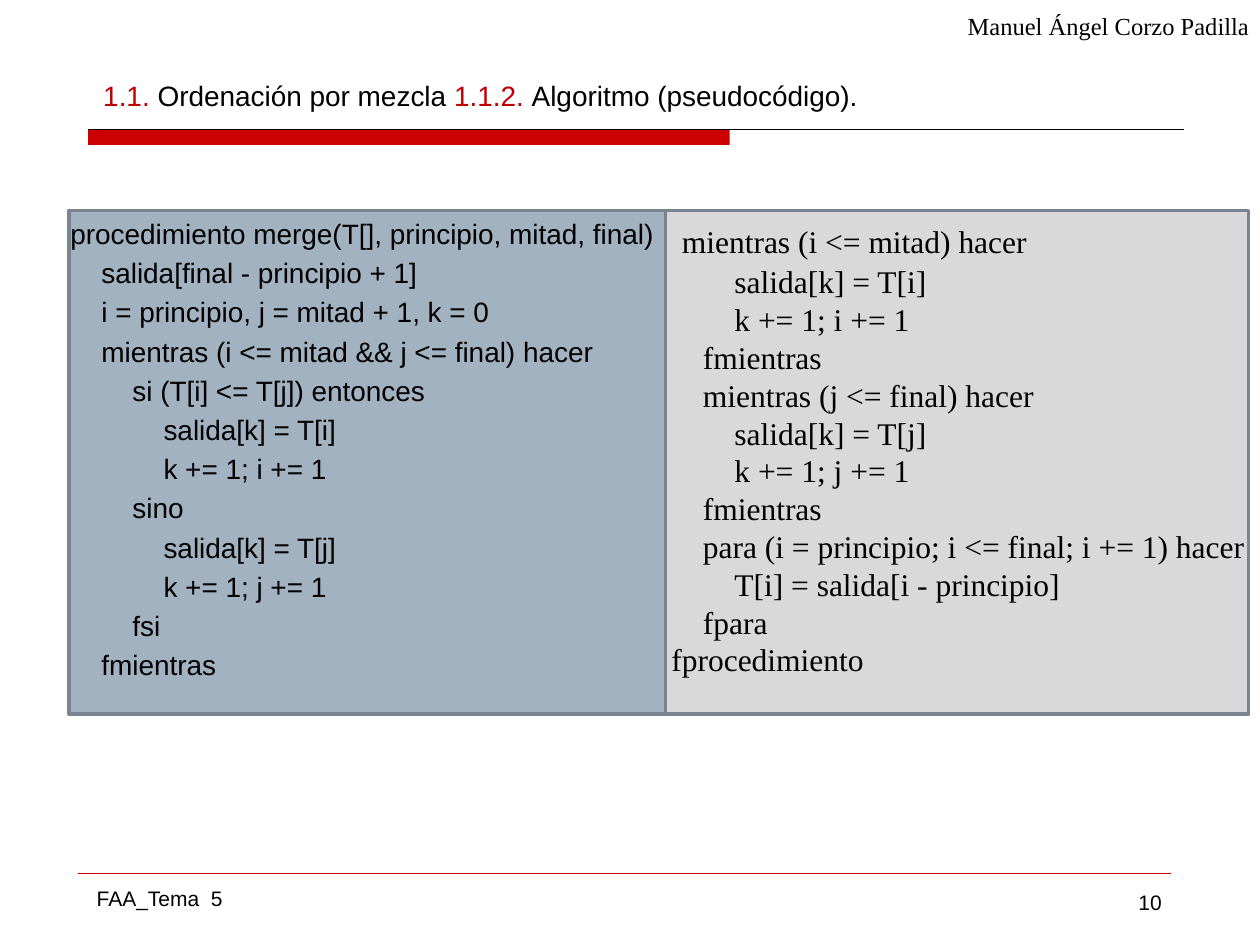
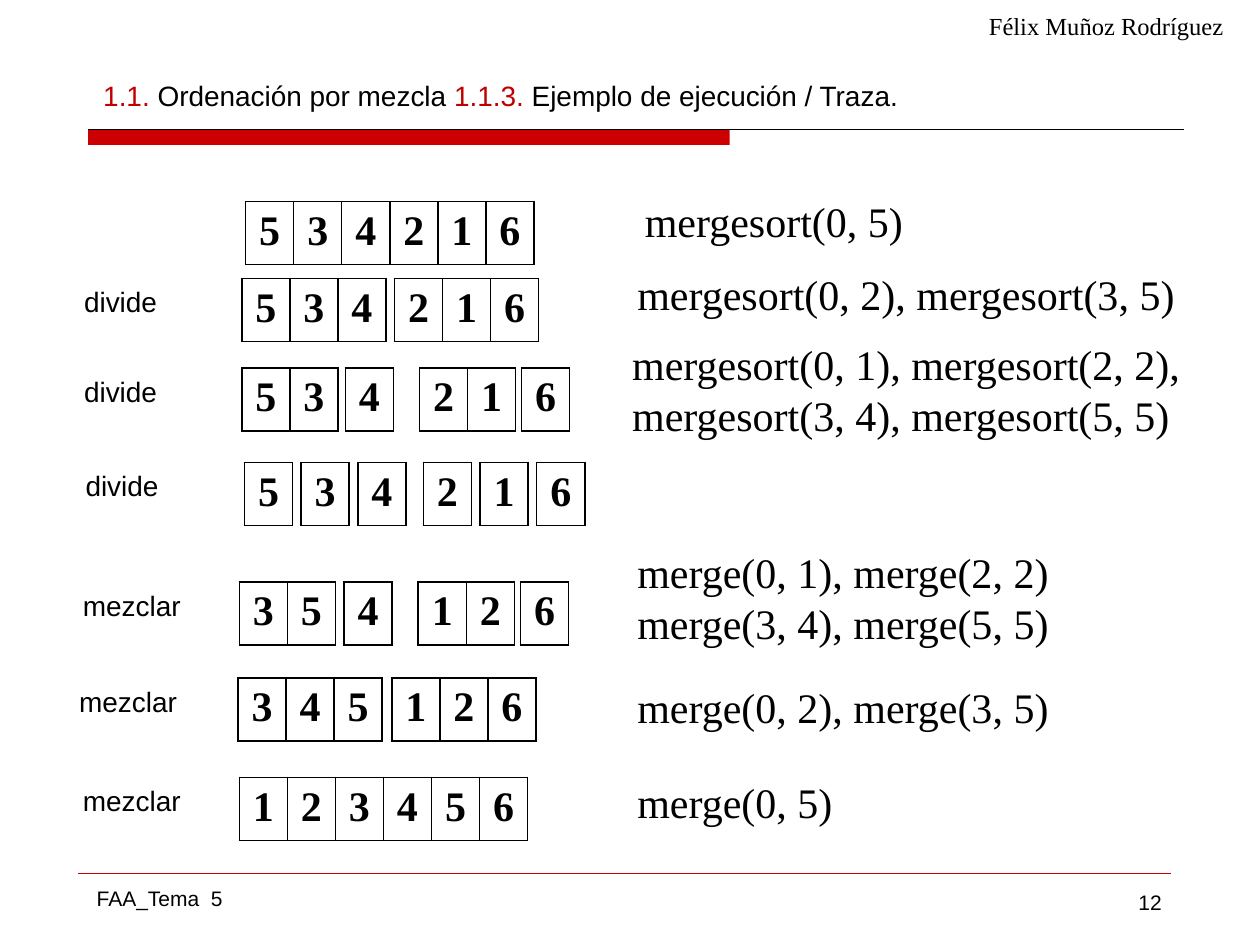
from dataclasses import dataclass

from lxml import etree
from pptx import Presentation
from pptx.dml.color import RGBColor
from pptx.enum import shapes, text
from pptx.oxml import ns
from pptx.util import Pt

# Shared style
SANS, SERIF = "Arial", "Times New Roman"
BLACK, RED, TITLE_RED = "000000", "CC0000", "C00000"
PANEL_BLUE, PANEL_GREY, PANEL_EDGE = "A3B2C1", "D9D9D9", "79848F"
JUSTIFY, LEFT = text.PP_ALIGN.JUSTIFY, text.PP_ALIGN.LEFT
CENTER, RIGHT = text.PP_ALIGN.CENTER, text.PP_ALIGN.RIGHT
CELL_WIDTH, ROW_HEIGHT = 27.45, 28.8


@dataclass
class Line:
    """One line of text, indented in points."""
    words: str
    indent: float = 0


@dataclass
class Style:
    font: str
    size: float
    align: text.PP_ALIGN = LEFT
    before: float = 0
    bold: bool = False


@dataclass
class Group:
    """Adjoining array cells, one digit each."""
    left: float
    digits: str


@dataclass
class Step:
    top: float
    groups: list[Group]
    label: str = ""
    label_left: float = 0


@dataclass
class Calls:
    left: float
    top: float
    lines: list[str]


CODE_SANS = Style(SANS, 16, JUSTIFY, before=3.2)
CODE_SERIF = Style(SERIF, 18, JUSTIFY)
CALL = Style(SERIF, 24)
DIGIT = Style(SERIF, 24, CENTER, bold=True)
AUTHOR = Style(SERIF, 14)
FOOTER = Style(SANS, 12)
PAGE_NUMBER = Style(SANS, 12, RIGHT)


def color(value: str) -> RGBColor:
    return RGBColor.from_string(value)


def add_span(para, words: str, style: Style, ink: str = BLACK) -> None:
    span = para.add_run()
    span.text = words
    span.font.name, span.font.size = style.font, Pt(style.size)
    span.font.bold = style.bold
    span.font.color.rgb = color(ink)


def add_text(page, left: float, top: float, width: float, height: float,
             lines: list[Line], style: Style):
    box = page.shapes.add_textbox(Pt(left), Pt(top), Pt(width), Pt(height))
    frame = box.text_frame
    frame.word_wrap = True
    for number, line in enumerate(lines):
        para = frame.add_paragraph() if number else frame.paragraphs[0]
        para.alignment = style.align
        para.space_before = Pt(style.before)
        if line.indent:
            para._p.get_or_add_pPr().set("marL", str(Pt(line.indent)))
        add_span(para, line.words, style)
    return box


def add_rect(page, left: float, top: float, width: float, height: float,
             fill: str, edge: str = "") -> None:
    box = page.shapes.add_shape(shapes.MSO_SHAPE.RECTANGLE,
                                Pt(left), Pt(top), Pt(width), Pt(height))
    box.shadow.inherit = False
    box.fill.solid()
    box.fill.fore_color.rgb = color(fill)
    if edge:
        box.line.color.rgb = color(edge)
        box.line.width = Pt(2)
    else:
        box.line.fill.background()


def add_rule(page, left: float, right: float, top: float, ink: str, weight: float) -> None:
    rule = page.shapes.add_connector(shapes.MSO_CONNECTOR.STRAIGHT,
                                     Pt(left), Pt(top), Pt(right), Pt(top))
    rule.line.color.rgb = color(ink)
    rule.line.width = Pt(weight)
    etree.SubElement(rule._element.spPr, ns.qn("a:effectLst"))


def add_page(deck, section: str, heading: str, number: int, author: str, author_left: float):
    """Add a page with its title, band, footer and author."""
    page = deck.slides.add_slide(deck.slide_layouts[5])
    title = page.shapes.title
    title.left, title.top, title.width, title.height = Pt(51.8), Pt(33.8), Pt(630), Pt(41.8)
    frame = title.text_frame
    frame.auto_size = text.MSO_AUTO_SIZE.NONE
    frame.vertical_anchor = text.MSO_ANCHOR.MIDDLE
    para = frame.paragraphs[0]
    para.alignment, para.space_before = JUSTIFY, Pt(2)
    properties = para._p.get_or_add_pPr()
    properties.set("marL", str(Pt(36.7)))
    properties.set("indent", str(-Pt(36.7)))
    for words, ink in (("1.1. ", TITLE_RED), ("Ordenación por mezcla ", BLACK),
                       (section + " ", TITLE_RED), (heading, BLACK)):
        add_span(para, words, Style(SANS, 16), ink)

    add_rect(page, 50.4, 74.2, 366.5, 8.6, RED)
    add_rule(page, 50.4, 676.8, 74.2, BLACK, 0.75)
    add_rule(page, 44.6, 668.9, 499, RED, 0.25)
    add_text(page, 48.2, 502.6, 100, 21.6, [Line("FAA_Tema  5")], FOOTER)
    add_text(page, 514.8, 504.7, 156.2, 35, [Line(str(number))], PAGE_NUMBER)
    add_text(page, author_left, 2.9, 202.3, 24.5, [Line(author)], AUTHOR)
    return page


def add_cells(page, group: Group, top: float) -> None:
    count = len(group.digits)
    table = page.shapes.add_table(1, count, Pt(group.left), Pt(top),
                                  Pt(CELL_WIDTH * count), Pt(ROW_HEIGHT)).table
    table.first_row = table.horz_banding = False
    for column, digit in enumerate(group.digits):
        table.columns[column].width = Pt(CELL_WIDTH)
        cell = table.cell(0, column)
        cell.margin_left = cell.margin_right = Pt(3.6)
        para = cell.text_frame.paragraphs[0]
        para.alignment = DIGIT.align
        add_span(para, digit, DIGIT)
        properties = cell._tc.get_or_add_tcPr()
        for side in ("lnL", "lnR", "lnT", "lnB"):
            border = etree.SubElement(properties, ns.qn(f"a:{side}"), w=str(Pt(1)))
            fill = etree.SubElement(border, ns.qn("a:solidFill"))
            etree.SubElement(fill, ns.qn("a:srgbClr"), val=BLACK)
        cell.fill.background()


def code(lines: list[tuple[int, str]], tab: float) -> list[Line]:
    return [Line(words, level * tab) for level, words in lines]


# Pseudocode, as nesting level and words
MERGE_START = [
    (0, "procedimiento merge(T[], principio, mitad, final)"),
    (1, "salida[final - principio + 1]"),
    (1, "i = principio, j = mitad + 1, k = 0"),
    (1, "mientras (i <= mitad && j <= final) hacer"),
    (2, "si (T[i] <= T[j]) entonces"),
    (3, "salida[k] = T[i]"),
    (3, "k += 1; i += 1"),
    (2, "sino"),
    (3, "salida[k] = T[j]"),
    (3, "k += 1; j += 1"),
    (2, "fsi"),
    (1, "fmientras"),
]
MERGE_END = [
    (2, "salida[k] = T[i]"),
    (2, "k += 1; i += 1"),
    (1, "fmientras"),
    (1, "mientras (j <= final) hacer"),
    (2, "salida[k] = T[j]"),
    (2, "k += 1; j += 1"),
    (1, "fmientras"),
    (1, "para (i = principio; i <= final; i += 1) hacer"),
    (2, "T[i] = salida[i - principio]"),
    (1, "fpara"),
    (0, "fprocedimiento"),
]

# Trace of the example
STEPS = [
    Step(115.2, [Group(140.4, "534216")]),
    Step(159.1, [Group(138.2, "534"), Group(225.4, "216")], "divide", 41),
    Step(210.2, [Group(138.2, "53"), Group(197.3, "4"),
                 Group(239.8, "21"), Group(298.1, "6")], "divide", 41),
    Step(264.2, [Group(start + 32.4 * place, digit)
                 for start, digits in ((139.7, "534"), (241.9, "216"))
                 for place, digit in enumerate(digits)], "divide", 41.8),
    Step(332.6, [Group(136.8, "35"), Group(196.6, "4"),
                 Group(239, "12"), Group(297.4, "6")], "mezclar", 40.3),
    Step(387.4, [Group(136.1, "345"), Group(223.9, "126")], "mezclar", 38.2),
    Step(444.2, [Group(136.8, "123456")], "mezclar", 40.3),
]
CALLS = [
    Calls(361.4, 108, ["mergesort(0, 5)"]),
    Calls(357.1, 149.8, ["mergesort(0, 2), mergesort(3, 5)"]),
    Calls(354.2, 190.1, ["mergesort(0, 1), mergesort(2, 2),",
                         "mergesort(3, 4), mergesort(5, 5)"]),
    Calls(357.1, 308.9, ["merge(0, 1), merge(2, 2)", "merge(3, 4), merge(5, 5)"]),
    Calls(357.1, 385.9, ["merge(0, 2), merge(3, 5)"]),
    Calls(357.1, 439.9, ["merge(0, 5)"]),
]


def build_pseudocode(deck) -> None:
    page = add_page(deck, "1.1.2.", "Algoritmo (pseudocódigo).", 10,
                    "Manuel Ángel Corzo Padilla", 545.8)
    add_rect(page, 39.6, 120.2, 340.6, 288, PANEL_BLUE, PANEL_EDGE)
    add_rect(page, 380.2, 120.2, 333.4, 288, PANEL_GREY, PANEL_EDGE)
    add_text(page, 33.1, 120.2, 356.4, 396.7, code(MERGE_START, 17.75), CODE_SANS)
    first = Line("mientras (i <= mitad) hacer", 6)
    box = add_text(page, 376.6, 118.1, 345.6, 276.5,
                   [first] + code(MERGE_END, 18), CODE_SERIF)
    box.text_frame.margin_top = Pt(9)
    box.text_frame.paragraphs[0].space_after = Pt(1.3)


def build_trace(deck) -> None:
    page = add_page(deck, "1.1.3.", "Ejemplo de ejecución / Traza.", 12,
                    "Félix Muñoz Rodríguez", 558)
    for step in STEPS:
        if step.label:
            add_text(page, step.label_left, step.top, 77, 41.8, [Line(step.label)], CODE_SANS)
        for group in step.groups:
            add_cells(page, group, step.top)
    for calls in CALLS:
        add_text(page, calls.left, calls.top, 350, 36 * len(calls.lines),
                 [Line(words) for words in calls.lines], CALL)


def main() -> None:
    deck = Presentation()
    deck.slide_width, deck.slide_height = Pt(720), Pt(540)
    build_pseudocode(deck)
    build_trace(deck)
    deck.save("out.pptx")


if __name__ == "__main__":
    main()
